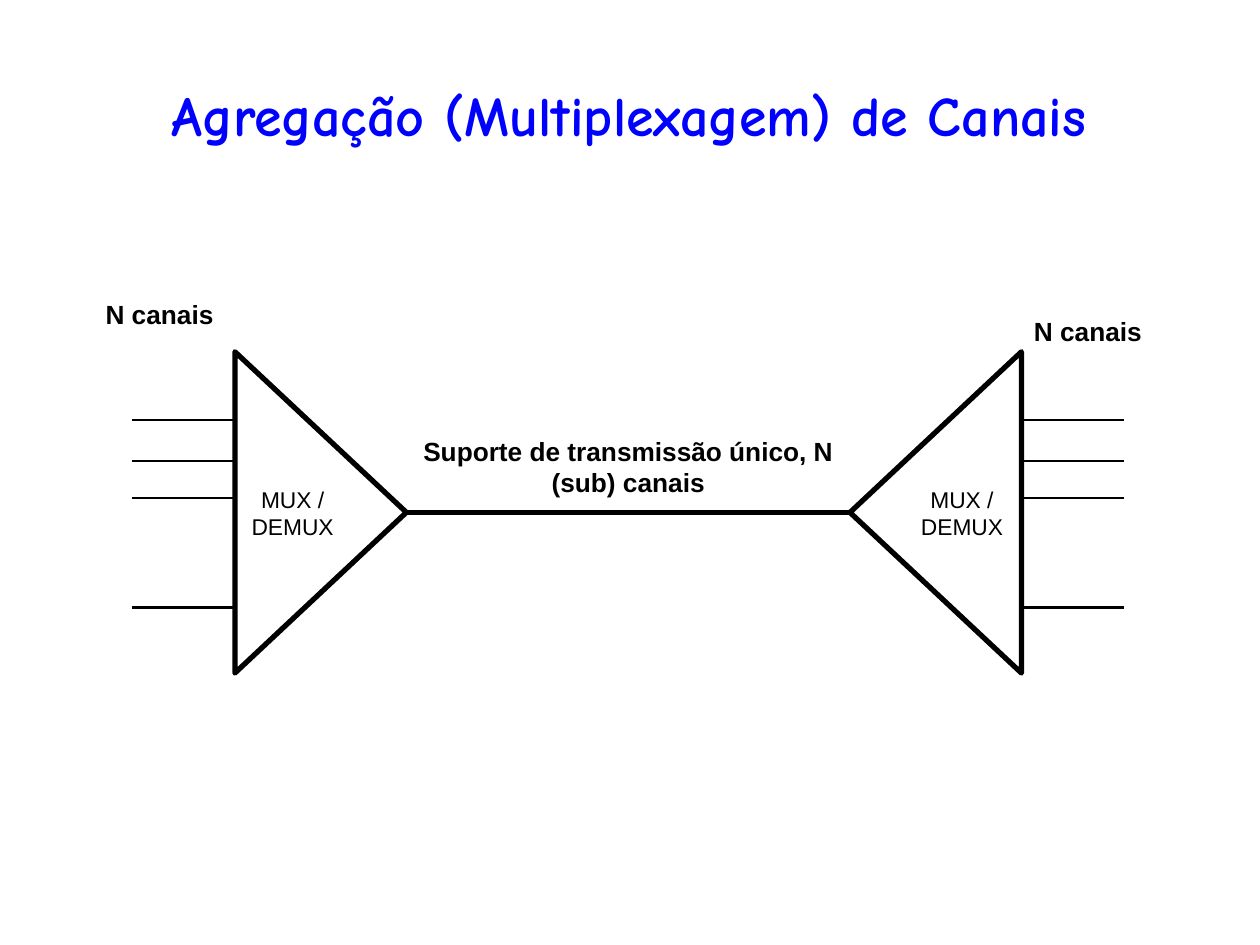
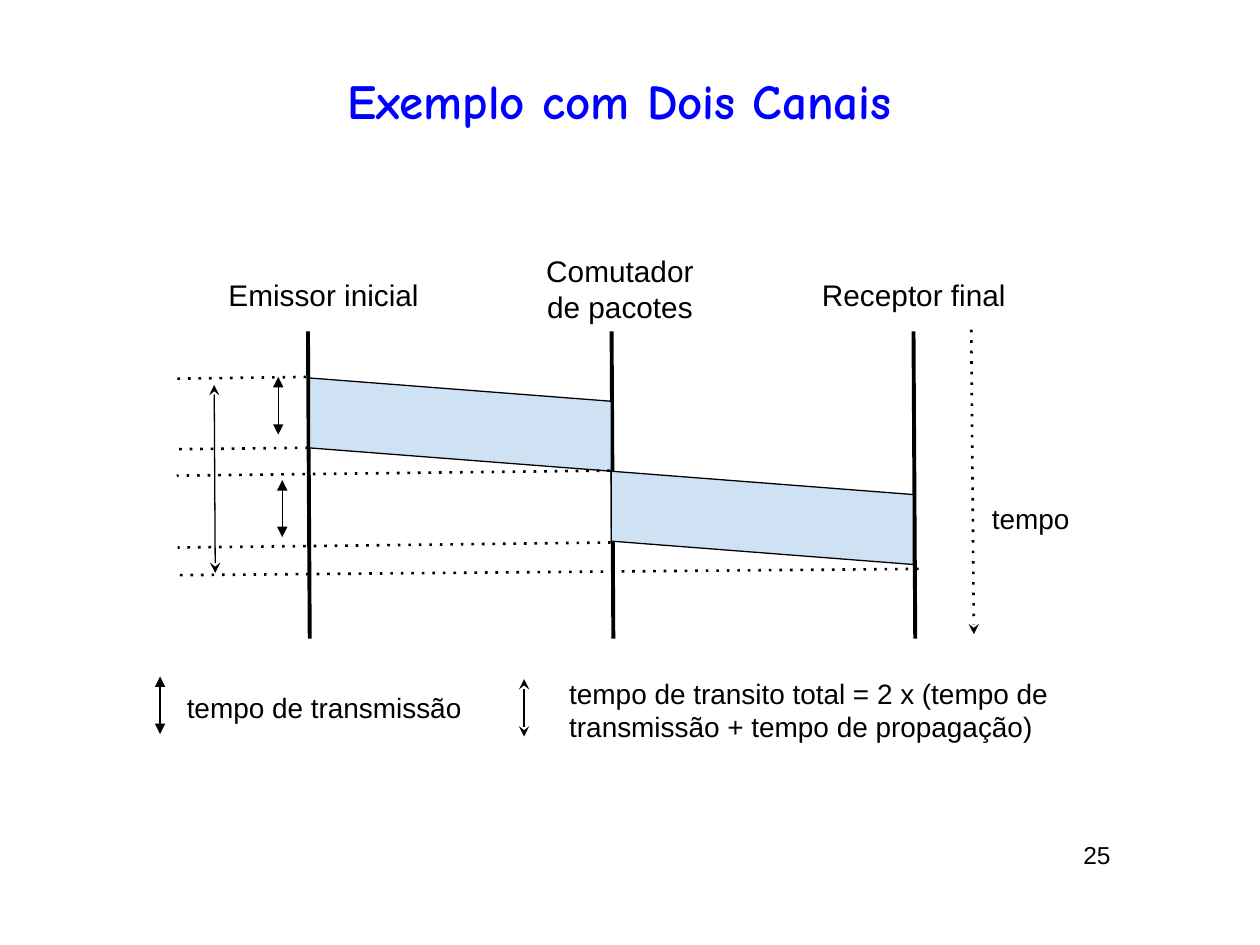
"""Two slides on channel multiplexing and packet transit times."""
from collections import namedtuple

from lxml.etree import SubElement
from pptx import Presentation
from pptx.dml.color import RGBColor
from pptx.enum.shapes import MSO_CONNECTOR, MSO_SHAPE
from pptx.enum.text import MSO_ANCHOR, MSO_AUTO_SIZE, PP_ALIGN
from pptx.oxml.ns import qn
from pptx.util import Pt

COLORS = {"title": "0000FF", "ink": "000000", "packet": "CFE2F3"}
TITLE_FONT, BODY_FONT = "Comic Neue", "Arial"
INSET = 7.2

Box = namedtuple("Box", "left top width height")


def color(name):
    """Return the named colour."""
    return RGBColor.from_string(COLORS[name])


def set_all(target, values):
    """Set each attribute in values on target."""
    for name, value in values.items():
        setattr(target, name, value)


def points(box):
    """Return the four lengths of a box as Pt."""
    return [Pt(value) for value in box]


def fill_text(shape, text, size, bold=False, center=True, middle=True,
              font=BODY_FONT, ink="ink", inset=INSET):
    """Write one formatted paragraph into a shape."""
    frame = shape.text_frame
    set_all(frame, {
        "word_wrap": True, "auto_size": MSO_AUTO_SIZE.NONE,
        "vertical_anchor": MSO_ANCHOR.MIDDLE if middle else MSO_ANCHOR.TOP,
        "margin_left": Pt(INSET), "margin_right": Pt(INSET),
        "margin_top": Pt(inset), "margin_bottom": Pt(inset)})
    para = frame.paragraphs[0]
    para.alignment = PP_ALIGN.CENTER if center else PP_ALIGN.LEFT
    span = para.add_run()
    span.text = text
    set_all(span.font, {"name": font, "size": Pt(size), "bold": bold})
    span.font.color.rgb = color(ink)


def add_label(page, box, text, size, **style):
    """Add a text box."""
    fill_text(page.shapes.add_textbox(*points(box)), text, size, **style)


def add_title_page(deck, text, size, height, inset):
    """Add a page with the shared title style."""
    page = deck.slides.add_slide(deck.slide_layouts[5])
    title = page.shapes.title
    set_all(title, dict(zip(Box._fields, points(Box(24, 30, 660, height)))))
    fill_text(title, text, size, bold=True, font=TITLE_FONT, ink="title",
              inset=inset)
    return page


def style_line(line, width, dash=None, head=None, tail=None):
    """Give a line its ink, width, dash, round joins and arrowheads."""
    line.color.rgb = color("ink")
    line.width = Pt(width)
    outline = line._get_or_add_ln()
    if dash:
        SubElement(outline, qn("a:prstDash"), val=dash)
    SubElement(outline, qn("a:round"))
    for tag, end in (("a:headEnd", head), ("a:tailEnd", tail)):
        if end:
            SubElement(outline, qn(tag), type=end)


def add_line(shapes, start, end, width, **style):
    """Add a straight line between two points."""
    line = shapes.add_connector(MSO_CONNECTOR.STRAIGHT,
                                *points(start + end))
    style_line(line.line, width, **style)
    SubElement(line._element.spPr, qn("a:effectLst"))


def add_arrow(page, start, end, head):
    """Add a thin arrow with the same head at both ends."""
    add_line(page.shapes, start, end, 0.75, head=head, tail=head)


def add_turned_shape(page, kind, box, rotation, adjustment, width, fill=None):
    """Add a shape turned a quarter so that it covers the box."""
    shift = (box.width - box.height) / 2
    upright = Box(box.left + shift, box.top - shift, box.height, box.width)
    shape = page.shapes.add_shape(kind, *points(upright))
    shape.rotation = rotation
    shape.adjustments[0] = adjustment
    shape.shadow.inherit = False
    if fill:
        shape.fill.solid()
        shape.fill.fore_color.rgb = color(fill)
    else:
        shape.fill.background()
    style_line(shape.line, width)


def add_multiplexer(page, box, rotation, lines_left, name_left, count_at):
    """Draw a multiplexer triangle with its channels and labels."""
    add_turned_shape(page, MSO_SHAPE.ISOSCELES_TRIANGLE, box, rotation, 0.5, 3)
    channels = page.shapes.add_group_shape().shapes
    start = box.left + lines_left
    for offset in (39, 62.5, 83.5, 146):
        level = box.top + offset
        add_line(channels, (start, level), (start + 58.5, level), 1.5)
    add_label(page, Box(box.left + name_left, box.top + 66, 77, 52),
              "MUX / DEMUX", 13)
    left, top = count_at
    add_label(page, Box(box.left + left, box.top + top, 90, 29), "N canais",
              15, bold=True, center=False, middle=False)


def draw_multiplexing(page, box):
    """Draw two multiplexers joined by one medium."""
    side = 98
    middle = box.top + box.height / 2
    first, last = box.left + side, box.left + box.width - side
    add_line(page.shapes, (first, middle), (last, middle), 3)
    add_multiplexer(page, Box(box.left, box.top, side, box.height),
                    90, -59, -5.5, (-81, -38))
    add_multiplexer(page, Box(last, box.top, side, box.height),
                    270, side, 25.5, (side, -28))
    add_label(page, Box(first, middle - 51.5, last - first, 52),
              "Suporte de transmissão único, N (sub) canais", 15,
              bold=True, middle=False)


def draw_time_diagram(page, box):
    """Draw the packet's way over two channels against time."""
    def at(x, y):
        return box.left + x, box.top + y

    for x in (76, 249.5, 422):
        add_line(page.shapes, at(x, 0), at(x + 1, box.height), 2.25)
    add_line(page.shapes, at(455, -1), at(456.5, 173), 1.5, dash="dot",
             tail="stealth")

    packet_width, packet_height = 172.5, 53.3
    for hop in range(2):
        corner = at(76.8 + hop * packet_width, 26.6 + hop * packet_height)
        add_turned_shape(page, MSO_SHAPE.PARALLELOGRAM,
                         Box(*corner, packet_width, packet_height),
                         90, 0.25, 0.75, "packet")

    for start, end in (((75, 26), (1, 27)), ((76, 66.5), (2, 67.3)),
                       ((248.5, 79.5), (1, 82.4)),
                       ((249, 120.6), (1.5, 123.5)),
                       ((425, 135.7), (1, 139.3))):
        add_line(page.shapes, at(*start), at(*end), 1.5, dash="dot")
    add_arrow(page, at(59, 26), at(59, 59), "triangle")
    add_arrow(page, at(61.3, 85), at(61.3, 117.5), "triangle")
    add_arrow(page, at(22.4, 30.6), at(23, 138), "stealth")

    for left, top, width, text, size in (
            (16, -46.5, 138, "Emissor inicial", 17),
            (199.5, -50, 109.5, "Comutador de pacotes", 17),
            (359.5, -46.5, 125.5, "Receptor final", 17),
            (439.3, 81, 99.4, "tempo", 16)):
        add_label(page, Box(*at(left, top), width, 51), text, size)


def draw_legend(page, box):
    """Explain the two kinds of arrow."""
    for left, top, head, gap, width, text, center in (
            (0, 0, "triangle", -2, 191.5, "tempo de transmissão", True),
            (208, 1.5, "stealth", 18.7, 310.3,
             "tempo de transito total = 2 x "
             "(tempo de transmissão + tempo de propagação)", False)):
        x, y = box.left + left, box.top + top
        add_arrow(page, (x, y), (x, y + box.height), head)
        add_label(page, Box(x + gap, y - 8, width, 51), text, 16,
                  center=center)


def main():
    """Build and save the deck."""
    deck = Presentation()
    set_all(deck, {"slide_width": Pt(720), "slide_height": Pt(540)})

    page = add_title_page(deck, " Agregação (Multiplexagem) de Canais",
                          32, 70.5, 3.6)
    draw_multiplexing(page, Box(134.2, 201, 449.5, 183.6))

    page = add_title_page(deck, "Exemplo com Dois Canais", 28, 54, INSET)
    draw_time_diagram(page, Box(100, 189.4, 458, 175.6))
    draw_legend(page, Box(91.5, 386.6, 537, 32.8))
    add_label(page, Box(612, 476.6, 72, 30), "25", 14, center=False,
              middle=False, inset=3.6)

    deck.save("out.pptx")


main()
